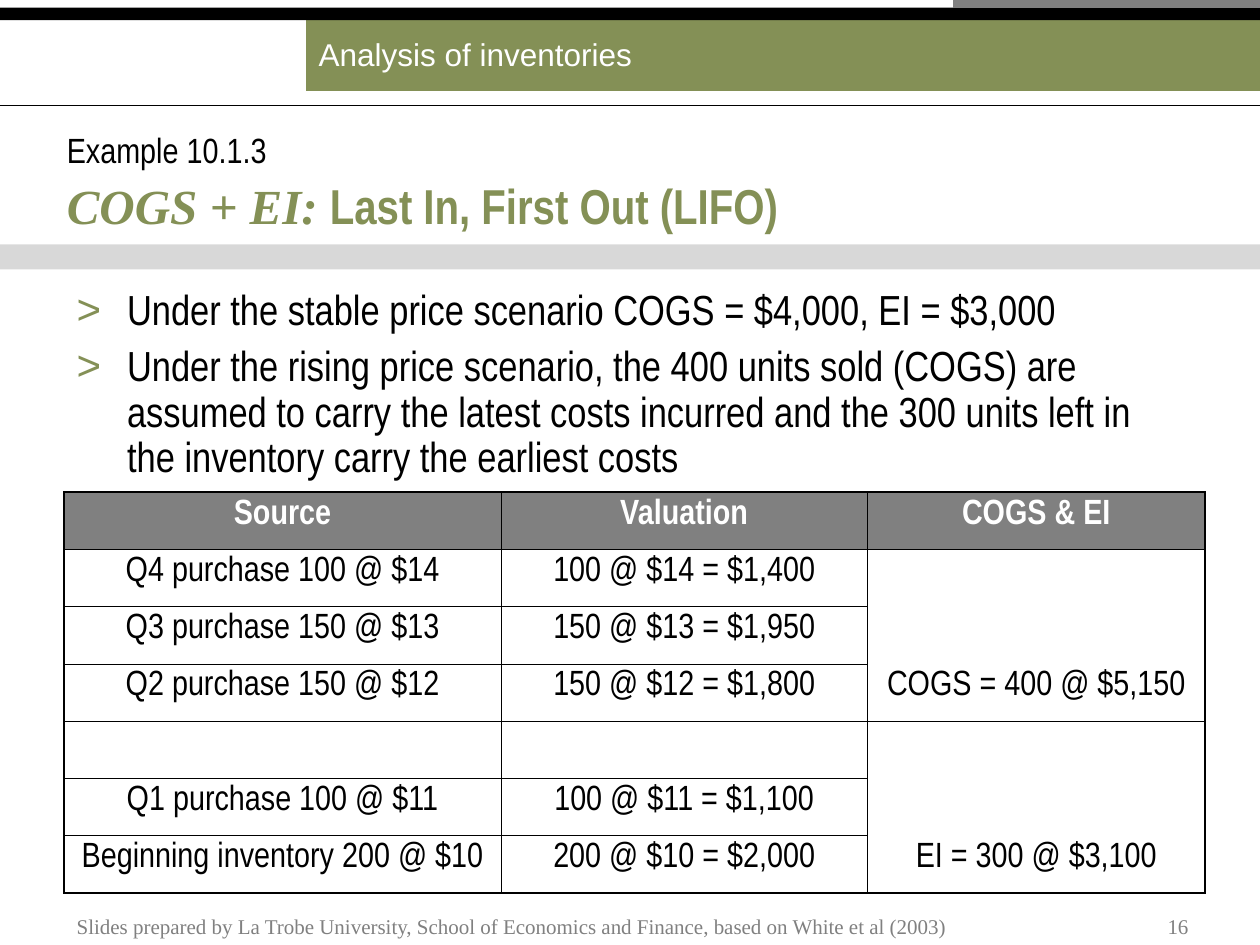
from lxml import etree
from pptx import Presentation
from pptx.dml.color import RGBColor
from pptx.enum import shapes, text
from pptx.oxml import ns
from pptx.util import Pt

OLIVE = RGBColor(0x84, 0x90, 0x56)
GREY = RGBColor(0x80, 0x80, 0x80)
BLACK = RGBColor(0, 0, 0)
WHITE = RGBColor(0xFF, 0xFF, 0xFF)
SANS, NARROW, SERIF = "Arial", "Arial Narrow", "Times New Roman"
WIDTH, HEIGHT = 720, 540
MARGIN, CONTENT_WIDTH = 36.75, 652
OUTER, INNER = 1.08, 0.45

COSTS = [
    ("Source", "Valuation", "COGS & EI"),
    ("Q4 purchase 100 @ $14", "100 @ $14 = $1,400", ""),
    ("Q3 purchase 150 @ $13", "150 @ $13 = $1,950", ""),
    ("Q2 purchase 150 @ $12", "150 @ $12 = $1,800", "COGS = 400 @ $5,150"),
    ("", "", ""),
    ("Q1 purchase 100 @ $11", "100 @ $11 = $1,100", ""),
    ("Beginning inventory 200 @ $10", "200 @ $10 = $2,000", "EI = 300 @ $3,100"),
]
GROUP_ENDS = (0, 3, 6)  # rows that close a group in the last column


def sub(parent, tag, **attributes):
    return etree.SubElement(parent, ns.qn(tag), attributes)


def write(paragraph, words, size=20, font=NARROW, color=BLACK, bold=False,
          italic=False, align=text.PP_ALIGN.LEFT):
    paragraph.alignment = align
    run = paragraph.add_run()
    run.text = words
    run.font.size, run.font.name = Pt(size), font
    run.font.bold, run.font.italic = bold, italic
    run.font.color.rgb = color


def set_frame(frame, anchor, x_inset=7.2, y_inset=3.6):
    frame.word_wrap = True
    frame.auto_size = text.MSO_AUTO_SIZE.NONE
    frame.vertical_anchor = anchor
    frame.margin_left = frame.margin_right = Pt(x_inset)
    frame.margin_top = frame.margin_bottom = Pt(y_inset)
    return frame.paragraphs[0]


def add_text(slide, box, words, anchor=text.MSO_ANCHOR.BOTTOM, insets=(7.2, 3.6), **style):
    label = slide.shapes.add_textbox(*map(Pt, box))
    write(set_frame(label.text_frame, anchor, *insets), words, **style)


def add_bar(slide, box, color):
    bar = slide.shapes.add_shape(shapes.MSO_SHAPE.RECTANGLE, *map(Pt, box))
    bar.shadow.inherit = False
    bar.fill.solid()
    bar.fill.fore_color.rgb = color
    bar.line.fill.background()
    return bar


def add_rule(slide, left, right, y, color, weight):
    rule = slide.shapes.add_connector(
        shapes.MSO_CONNECTOR.STRAIGHT, Pt(left), Pt(y), Pt(right), Pt(y))
    rule.line.color.rgb = color
    rule.line.width = Pt(weight)
    sub(rule._element.spPr, "a:effectLst")


def add_header(slide, box):
    left, top, width, height = box
    indent, accent = 175, 544.5
    right = left + width
    banner = add_bar(slide, (left + indent, top + 9.4, width - indent, 42.5), OLIVE)
    write(set_frame(banner.text_frame, text.MSO_ANCHOR.MIDDLE),
          "Analysis of inventories", size=18, font=SANS, color=WHITE)
    add_bar(slide, (left, top + 4.4, width, 7.2), BLACK)
    add_rule(slide, left + accent, right, top + 2.2, GREY, 5)
    add_rule(slide, left, right, top + height, BLACK, 0.75)


def add_title(slide, box):
    left, top, width, height = box
    add_text(slide, (left, top, width, 17.3), "Example 10.1.3",
             anchor=text.MSO_ANCHOR.MIDDLE, insets=(1.44, 0))
    title = slide.shapes.title
    title.left, title.top = Pt(left), Pt(top + 29.5)
    title.width, title.height = Pt(width), Pt(height - 29.5)
    heading = set_frame(title.text_frame, text.MSO_ANCHOR.MIDDLE, 1.44, 0)
    write(heading, "COGS + EI: ", size=28, font=SERIF, color=OLIVE, bold=True, italic=True)
    write(heading, "Last In, First Out (LIFO)", size=28, color=OLIVE, bold=True)


def add_divider(slide, box):
    divider = add_bar(slide, box, GREY)
    color = divider._element.spPr.find(".//" + ns.qn("a:srgbClr"))
    sub(color, "a:alpha", val="30000")


def add_bullets(slide, box, points):
    body = slide.shapes.add_textbox(*map(Pt, box)).text_frame
    paragraph = set_frame(body, text.MSO_ANCHOR.TOP)
    for index, point in enumerate(points):
        if index:
            paragraph = body.add_paragraph()
            paragraph.space_before = Pt(6)
        paragraph.line_spacing = 0.9
        properties = paragraph._p.get_or_add_pPr()
        properties.set("marL", str(Pt(28.8)))
        properties.set("indent", str(-Pt(28.8)))
        sub(sub(properties, "a:buClr"), "a:srgbClr", val=str(OLIVE))
        sub(properties, "a:buFont", typeface=SANS)
        sub(properties, "a:buChar", char=">")
        write(paragraph, point, size=24)


def set_borders(cell, **weights):
    """Draw the four sides of a cell; a weight of 0 leaves a side open."""
    properties = cell._tc.get_or_add_tcPr()
    for side in "LRTB":
        weight = weights[side]
        line = sub(properties, "a:ln" + side, w=str(Pt(weight)))
        if weight:
            sub(sub(line, "a:solidFill"), "a:srgbClr", val=str(BLACK))
        else:
            sub(line, "a:noFill")


def add_cost_table(slide, box, rows, column_widths):
    height = box[3]
    last_row, last_column = len(rows) - 1, len(column_widths) - 1
    costs = slide.shapes.add_table(len(rows), len(column_widths), *map(Pt, box)).table
    costs.first_row = costs.horz_banding = False
    for column, width in zip(costs.columns, column_widths):
        column.width = Pt(width)
    for r, values in enumerate(rows):
        costs.rows[r].height = Pt(height / len(rows))
        for c, value in enumerate(values):
            cell = costs.cell(r, c)
            grouped = c == last_column
            opens = not grouped or r - 1 in GROUP_ENDS
            closes = not grouped or r in GROUP_ENDS
            set_borders(cell,
                        L=INNER if c else OUTER,
                        R=OUTER if c == last_column else INNER,
                        T=OUTER if r == 0 else INNER * opens,
                        B=OUTER if r == last_row else INNER * closes)
            if r == 0:
                cell.fill.solid()
                cell.fill.fore_color.rgb = GREY
            else:
                cell.fill.background()
            if value:
                write(cell.text_frame.paragraphs[0], value, bold=r == 0,
                      color=BLACK if r else WHITE, align=text.PP_ALIGN.CENTER)


def add_footer(slide, box):
    left, top, width, height = box
    style = dict(size=12, font=SERIF, color=GREY)
    add_text(slide, (left, top, 595.5, height),
             "Slides prepared by La Trobe University, School of Economics and Finance, "
             "based on White et al (2003)", **style)
    add_text(slide, (left + width - 53, top, 50.5, height), "16",
             align=text.PP_ALIGN.RIGHT, **style)


def main():
    deck = Presentation()
    deck.slide_width, deck.slide_height = Pt(WIDTH), Pt(HEIGHT)
    slide = deck.slides.add_slide(deck.slide_layouts[5])
    add_divider(slide, (0, 139.7, WIDTH, 14.2))
    add_header(slide, (0, 0, WIDTH, 60.2))
    add_bullets(slide, (MARGIN, 162, 648, 119), [
        "Under the stable price scenario COGS = $4,000, EI = $3,000",
        "Under the rising price scenario, the 400 units sold (COGS) are assumed to carry "
        "the latest costs incurred and the 300 units left in the inventory carry the "
        "earliest costs",
    ])
    add_title(slide, (MARGIN, 76.5, CONTENT_WIDTH, 51.8))
    add_cost_table(slide, (MARGIN, 281.3, CONTENT_WIDTH, 229), COSTS, (249.5, 209.5, 193))
    add_footer(slide, (MARGIN, 508.3, CONTENT_WIDTH, 31.7))
    deck.save("out.pptx")


if __name__ == "__main__":
    main()
